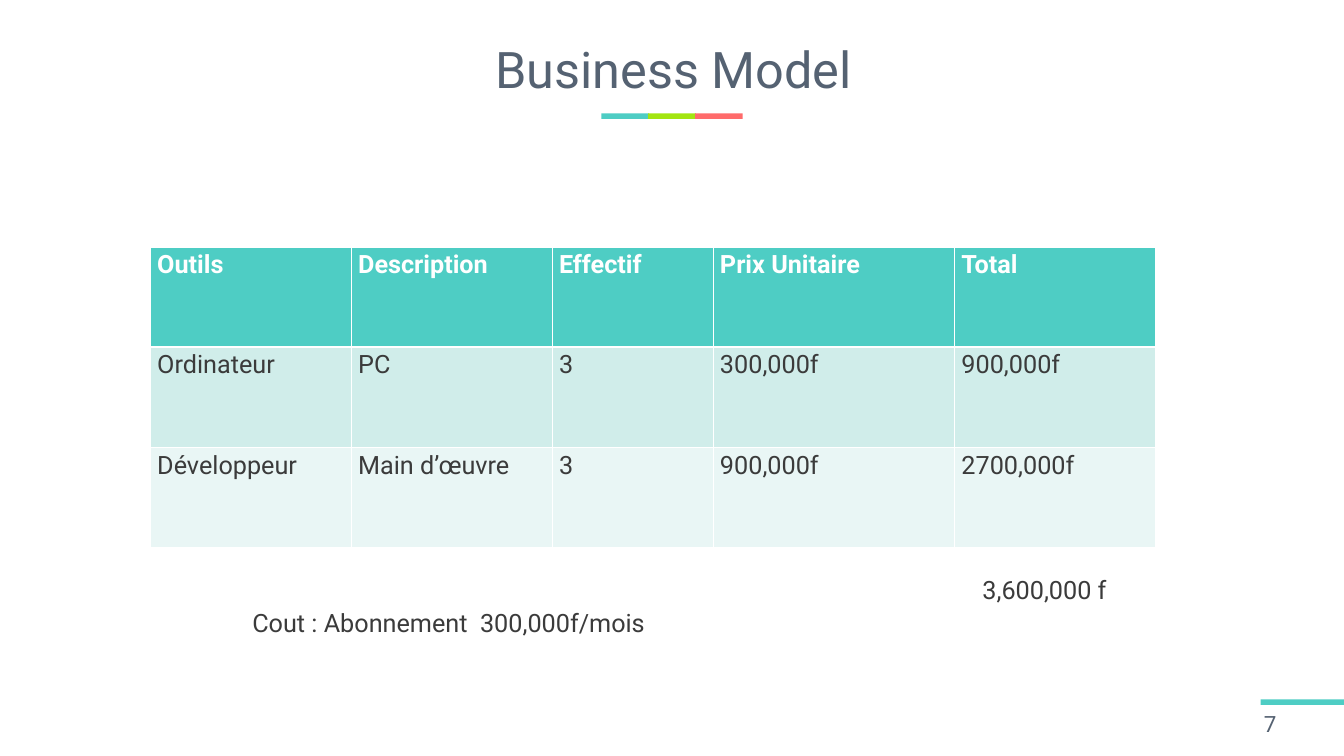
"""Build the business model slide with its cost table."""
from dataclasses import dataclass

from lxml.etree import SubElement as Sub
from pptx import Presentation
from pptx.dml.color import RGBColor as Rgb
from pptx.enum.shapes import MSO_SHAPE as Kind
from pptx.enum.text import MSO_ANCHOR as Anchor, MSO_AUTO_SIZE as Fit, PP_ALIGN as Align
from pptx.oxml.ns import qn
from pptx.util import Pt

PX = 9525


@dataclass(frozen=True)
class Theme:
    font: str = "Roboto"
    teal: str = "4ECDC4"
    lime: str = "A3E511"
    coral: str = "FF6B6B"
    slate: str = "556272"
    ink: str = "3B3B3B"
    white: str = "FFFFFF"
    bands: tuple = ("D0EDEA", "E9F6F5")
    title: int = 54
    body: int = 27
    page: int = 24


LOOK = Theme()
COLS = (287, 287, 230, 345, 287)
ROW = 143
COSTS = (
    ("Outils", "Description", "Effectif", "Prix Unitaire", "Total"),
    ("Ordinateur", "PC", "3", "300,000f", "900,000f"),
    ("Développeur", "Main d’œuvre", "3", "900,000f", "2700,000f"),
)


def emu(*sizes):
    return [size * PX for size in sizes]


def paint(fill, tone):
    fill.solid()
    fill.fore_color.rgb = Rgb.from_string(tone)


def write(frame, text, size, tone, bold=False):
    frame.text = text
    line = frame.paragraphs[0]
    font = line.font
    font.name, font.size, font.bold = LOOK.font, Pt(size), bold
    font.color.rgb = Rgb.from_string(tone)
    return line


def head(slide, text, box):
    title = slide.shapes.title
    title.left, title.top, title.width, title.height = emu(*box)
    frame = title.text_frame
    frame.auto_size, frame.vertical_anchor = Fit.NONE, Anchor.MIDDLE
    line = write(frame, text, LOOK.title, LOOK.slate)
    line.alignment, line.line_spacing = Align.CENTER, 0.9


def bar(slide, box, tone):
    shape = slide.shapes.add_shape(Kind.RECTANGLE, *emu(*box))
    shape.shadow.inherit = False
    shape.line.fill.background()
    paint(shape.fill, tone)


def note(slide, text, box, size, tone, anchor=Anchor.TOP):
    frame = slide.shapes.add_textbox(*emu(*box)).text_frame
    frame.word_wrap, frame.vertical_anchor = True, anchor
    write(frame, text, size, tone)


def edge(cell, side, width):
    props = cell._tc.get_or_add_tcPr()
    rule = Sub(props, qn(f"a:ln{side}"), w=str(Pt(width)))
    Sub(Sub(rule, qn("a:solidFill")), qn("a:srgbClr"), val=LOOK.white)


def grid(slide, left, top):
    size = emu(left, top, sum(COLS), ROW * len(COSTS))
    table = slide.shapes.add_table(len(COSTS), len(COLS), *size).table
    for col, width in zip(table.columns, COLS):
        col.width = width * PX
    for r, (row, texts) in enumerate(zip(table.rows, COSTS)):
        row.height = ROW * PX
        fill = LOOK.bands[(r - 1) % 2] if r else LOOK.teal
        tone = LOOK.ink if r else LOOK.white
        for cell, text in zip(row.cells, texts):
            for side in "LRTB":
                thick = (r, side) in ((0, "B"), (1, "T"))
                edge(cell, side, 3 if thick else 1)
            paint(cell.fill, fill)
            write(cell.text_frame, text, LOOK.body, tone, bold=r == 0)


def main():
    deck = Presentation()
    deck.slide_width, deck.slide_height = emu(1920, 1080)
    slide = deck.slides.add_slide(deck.slide_layouts[5])
    paint(slide.background.fill, LOOK.white)
    head(slide, "Business Model", (52, 36, 1820, 134))
    for i, tone in enumerate((LOOK.teal, LOOK.lime, LOOK.coral)):
        bar(slide, (859 + 67 * i, 162, 68, 8), tone)
    bar(slide, (1801, 999, 119, 8), LOOK.teal)
    note(slide, "7", (1796, 1008, 124, 51), LOOK.page, LOOK.slate, Anchor.MIDDLE)
    grid(slide, 215, 353)
    note(slide, "3,600,000 f", (1394, 815, 226, 54), LOOK.body, LOOK.ink)
    note(slide, "Cout : Abonnement  300,000f/mois", (351, 863, 618, 54),
         LOOK.body, LOOK.ink)
    deck.save("out.pptx")


if __name__ == "__main__":
    main()
